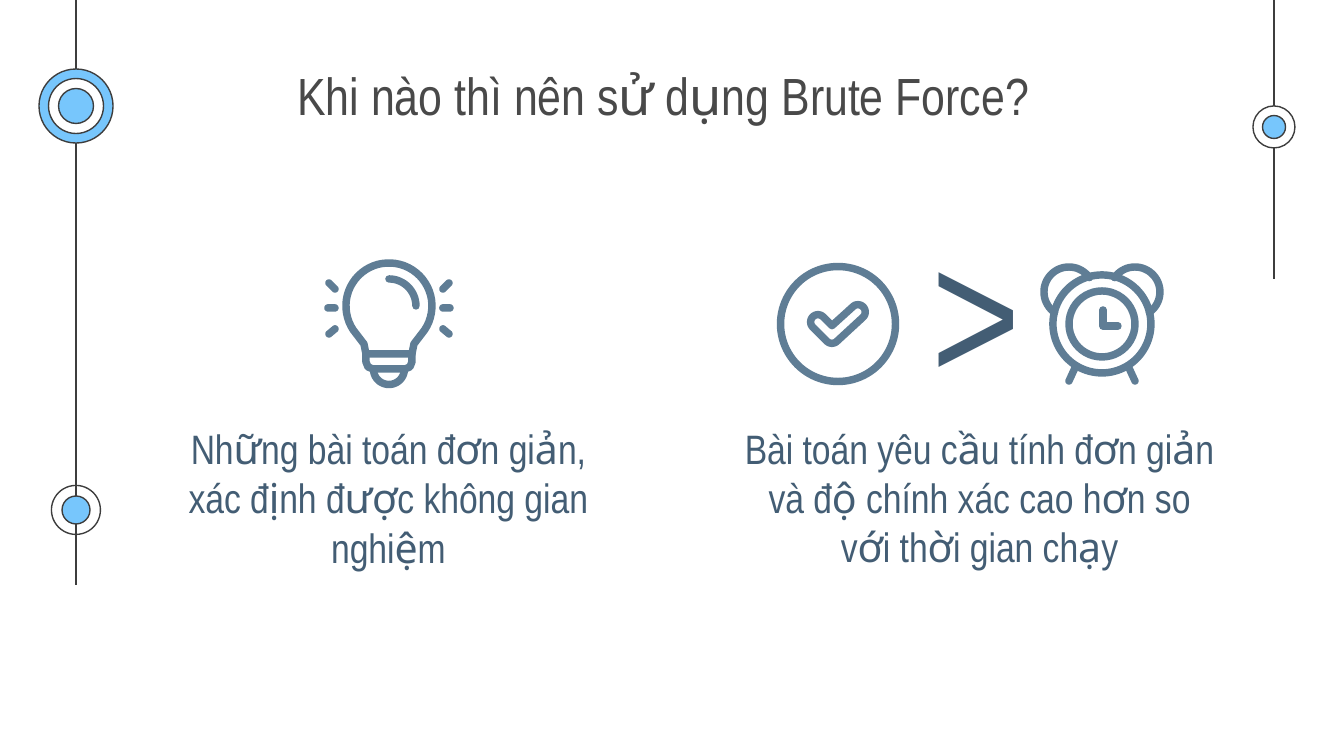
from math import atan2, cos, degrees, radians, sin, sqrt

from lxml.etree import SubElement
from pptx import Presentation
from pptx.dml.color import RGBColor
from pptx.enum.lang import MSO_LANGUAGE_ID
from pptx.enum.shapes import MSO_CONNECTOR, MSO_SHAPE
from pptx.enum.text import MSO_ANCHOR, PP_ALIGN
from pptx.oxml.ns import qn
from pptx.util import Emu, Pt

PX = 914400 / 134.4  # EMU per px
WIDTH, HEIGHT = 1344, 756

DARK = RGBColor(0x3D, 0x3D, 0x3D)
SKY = RGBColor(0x77, 0xC6, 0xFC)
WHITE = RGBColor(0xFF, 0xFF, 0xFF)
GREY = RGBColor(0x49, 0x49, 0x49)
NAVY = RGBColor(0x43, 0x5D, 0x74)
STEEL = RGBColor(0x5F, 0x7D, 0x95)

FONT = "Arial Narrow"
THIN, THICK = 0.75, 4  # line widths in points

# lines, (left, top, width, height), size, colour, alignment
TEXTS = [
    (["Khi nào thì nên sử dụng Brute Force?"],
     (253, 50, 820, 87), 28, GREY, PP_ALIGN.CENTER),
    (["Bài toán yêu cầu tính đơn giản", "và độ chính xác cao hơn so", "với thời gian chạy"],
     (726, 410, 507, 183), 22, NAVY, PP_ALIGN.CENTER),
    (["Những bài toán đơn giản,", "xác định được không gian", "nghiệm"],
     (148, 410, 481, 239), 22, NAVY, PP_ALIGN.CENTER),
    ([">"], (918, 181, 122, 254), 100, NAVY, PP_ALIGN.LEFT),
]

# x and bottom end of the vertical rails
RAILS = [(76, 585), (1274, 279)]
# centre, then (diameter, fill) from the outside in
TARGETS = [
    ((76, 510), [(49, None), (28, SKY)]),
    ((1274, 127), [(42, WHITE), (23, SKY)]),
    ((76, 106), [(74, SKY), (55, WHITE), (35, SKY)]),
]

# Icon centres
BULB, CHECK, CLOCK = (389, 306), (838, 324), (1102, 324)
# Left halves, as offsets from the icon centre
BULB_RAYS = [((-61, 2), (-54, 2)), ((-60, -23), (-54, -17)), ((-54, 23), (-60, 28))]
CLOCK_LEG = ((-27, 44), (-33, 57))
CLOCK_EAR = (-33, -32)

prs = Presentation()
prs.slide_width, prs.slide_height = Emu(round(WIDTH * PX)), Emu(round(HEIGHT * PX))
slide = prs.slides.add_slide(prs.slide_layouts[6])
shapes = slide.shapes


def emu(*values):
    return [Emu(round(v * PX)) for v in values]


def shift(points, center):
    return [(x + center[0], y + center[1]) for x, y in points]


def mirror(points):
    return [(-x, y) for x, y in points]


def arc(center, radius, start, end):
    """Points on an arc; angles run clockwise from the right."""
    steps = round(max(2, abs(end - start) // 6))
    angles = [radians(start + (end - start) * i / steps) for i in range(steps + 1)]
    return shift([(radius * cos(a), radius * sin(a)) for a in angles], center)


def set_line(sp, color, width):
    sp.line.color.rgb = color
    sp.line.width = Pt(width)
    if width == THICK:
        ln = sp._element.spPr.find(qn("a:ln"))
        ln.set("cap", "rnd")
        SubElement(ln, qn("a:round"))


def set_fill(sp, color):
    sp.shadow.inherit = False
    if color is None:
        sp.fill.background()
    else:
        sp.fill.solid()
        sp.fill.fore_color.rgb = color


def circle(center, diameter, fill, color, width):
    x, y = center
    box = emu(x - diameter / 2, y - diameter / 2, diameter, diameter)
    sp = shapes.add_shape(MSO_SHAPE.OVAL, *box)
    set_fill(sp, fill)
    set_line(sp, color, width)


def rail(x, bottom):
    sp = shapes.add_connector(MSO_CONNECTOR.STRAIGHT, *emu(x, 0, x, bottom))
    set_line(sp, DARK, THIN)
    SubElement(sp._element.spPr, qn("a:effectLst"))


def outline(points, close):
    first, *rest = [emu(*point) for point in points]
    builder = shapes.build_freeform(*first)
    builder.add_line_segments(rest, close=close)
    return builder.convert_to_shape()


def stroke(points, close=False):
    sp = outline(points, close)
    set_fill(sp, None)
    set_line(sp, STEEL, THICK)


def bar(start, end):
    """A filled straight bar with round ends."""
    turn = degrees(atan2(end[1] - start[1], end[0] - start[0]))
    sp = outline(arc(end, 3.7, turn - 90, turn + 90)
                 + arc(start, 3.7, turn + 90, turn + 270), True)
    set_fill(sp, STEEL)
    sp.line.fill.background()


# Rails and targets
for x, bottom in RAILS:
    rail(x, bottom)
for center, rings in TARGETS:
    for diameter, fill in rings:
        circle(center, diameter, fill, DARK, THIN)

# Texts
for lines, box, size, color, align in TEXTS:
    tf = shapes.add_textbox(*emu(*box)).text_frame
    inset = Emu(91440)
    frame = dict(word_wrap=True, vertical_anchor=MSO_ANCHOR.TOP, margin_left=inset,
                 margin_right=inset, margin_top=inset, margin_bottom=inset)
    for name, value in frame.items():
        setattr(tf, name, value)
    p = tf.paragraphs[0]
    p.alignment = align
    p.text = "\v".join(lines)
    for r in p.runs:
        font = dict(name=FONT, size=Pt(size), language_id=MSO_LANGUAGE_ID.VIETNAMESE)
        for name, value in font.items():
            setattr(r.font, name, value)
        r.font.color.rgb = color

# Light bulb: glass and socket, thread, foot, highlight, rays
neck = [(25, 38), (23, 48), (23, 56), (21, 61), (16, 63)]
stroke(shift(arc((0, 0), 43, 140, 400) + neck + mirror(neck[::-1]), BULB), close=True)
bar(*shift([(-23, 48), (23, 48)], BULB))
stroke(shift(arc((0, 63), 15.5, 0, 180), BULB))
stroke(arc(BULB, 27, -90, 0))
for ray in BULB_RAYS:
    for side in (ray, mirror(ray)):
        bar(*shift(side, BULB))

# Check mark: a hollow outline around two arms, in a ring
R = 7.3
elbow = (-6, 12)
mark = (arc((20, -12), R, -135, 45) + arc(elbow, R, 45, 135)
        + arc((-20, -2), R, 135, 315) + [(elbow[0], elbow[1] - R * sqrt(2))])
circle(CHECK, 115, None, STEEL, THICK)
stroke(shift(mark, CHECK), close=True)

# Alarm clock: face, hands, ears, legs
for diameter in (98, 66):
    circle(CLOCK, diameter, None, STEEL, THICK)
stroke(shift([(1, -14), (1, 2), (16, 2)], CLOCK))
ear = arc(CLOCK_EAR, 25, 125, 325)
for flip in (list, mirror):
    stroke(shift(flip(ear), CLOCK))
    bar(*shift(flip(CLOCK_LEG), CLOCK))

prs.save("out.pptx")
